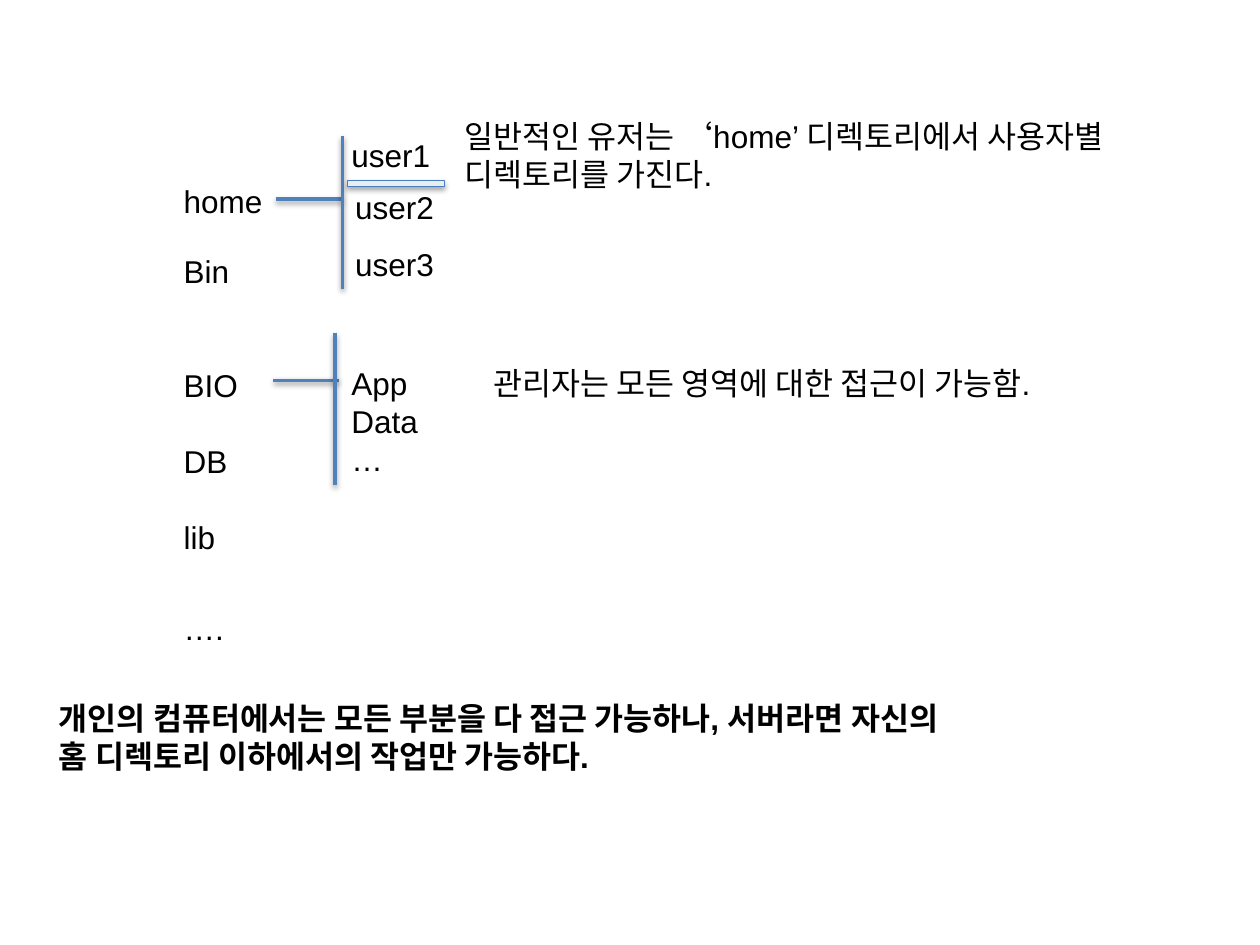
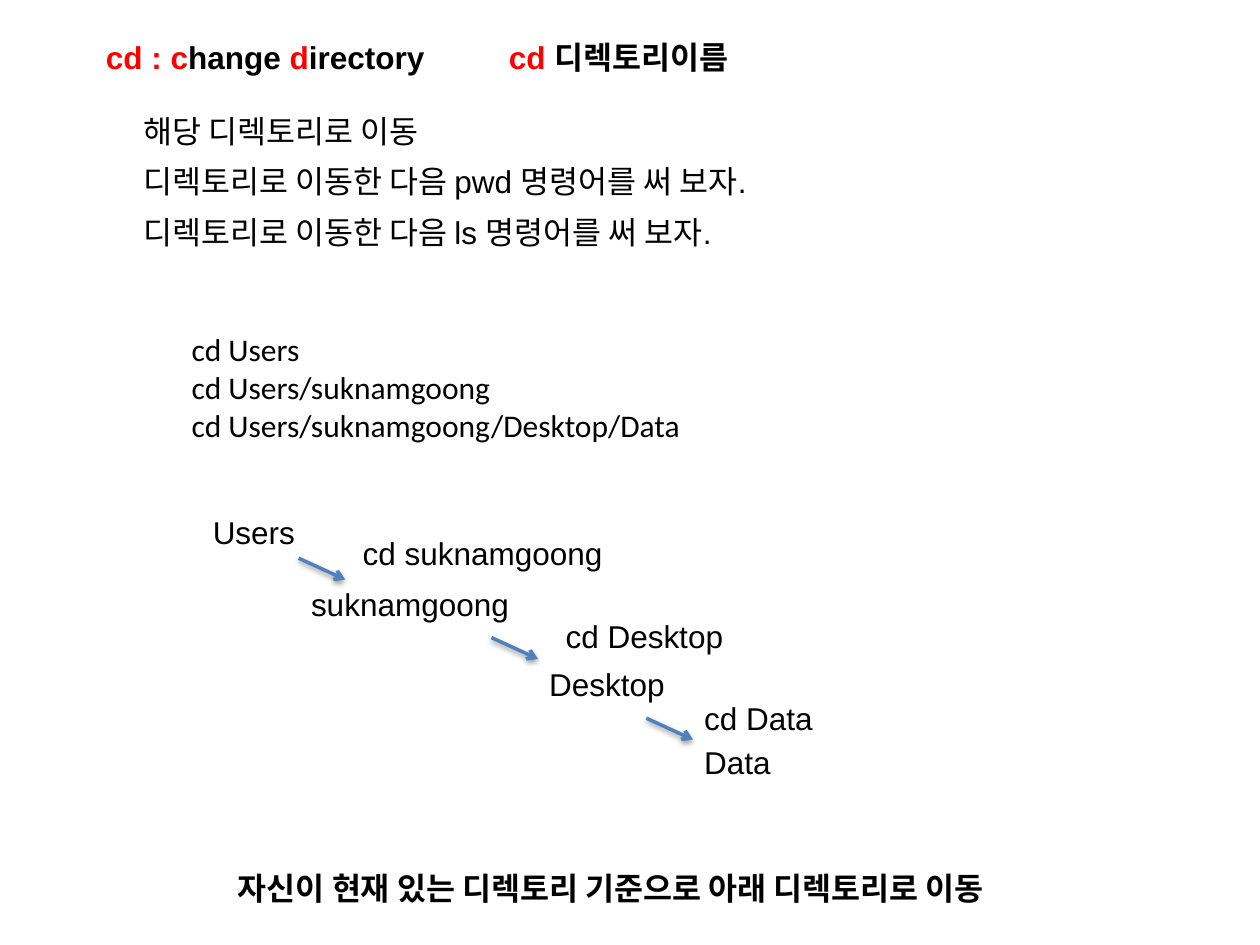
from lxml import etree
from pptx import Presentation
from pptx.dml.color import RGBColor
from pptx.enum.shapes import MSO_CONNECTOR, MSO_SHAPE
from pptx.enum.text import MSO_ANCHOR, MSO_AUTO_SIZE, PP_ALIGN
from pptx.oxml.ns import qn
from pptx.util import Inches, Pt

STRAIGHT = MSO_CONNECTOR.STRAIGHT
RECTANGLE = MSO_SHAPE.RECTANGLE
TOP = MSO_ANCHOR.TOP
LEFT = PP_ALIGN.LEFT
FIT_SHAPE = MSO_AUTO_SIZE.SHAPE_TO_FIT_TEXT

COLUMNS, ROWS = 100, 75
LINE_HEIGHT = 4
LEADING = 21.7
BLACK, RED = "000000", "FF0000"
BLUE, BAR_EDGE, BAR_FILL = "4F81BD", "4B7EBC", "E8EEF0"
LATIN, BODY = "Arial", "Calibri"
BLANK_LAYOUT, CONTENT_LAYOUT = 6, 1


def grid(*cells):
    """Turn grid cells of a tenth of an inch into lengths."""
    return [Inches(round(cell / 10, 3)) for cell in cells]


def color(value):
    """Turn a hex string into a colour."""
    return RGBColor.from_string(value)


def apply(target, values):
    """Set every attribute named in a dict of format values."""
    for name, value in values.items():
        setattr(target, name, value)


def add_shadow(shape, opacity, distance):
    """Give a shape a soft shadow that falls straight down."""
    properties = shape._element.spPr
    effects = properties.find(qn("a:effectLst"))
    if effects is None:
        effects = etree.SubElement(properties, qn("a:effectLst"))
    shadow = etree.SubElement(effects, qn("a:outerShdw"), blurRad="40000",
                              dist=str(Pt(distance)), dir="5400000", rotWithShape="0")
    black = etree.SubElement(shadow, qn("a:srgbClr"), val=BLACK)
    etree.SubElement(black, qn("a:alpha"), val=str(opacity * 1000))


def write(shape, lines, font=LATIN, bold=False, wrap=False, leading=LEADING, gaps=()):
    """Fill a shape with lines, each a string or a list of (text, colour) runs."""
    frame = shape.text_frame
    apply(frame, {"word_wrap": wrap, "auto_size": FIT_SHAPE, "vertical_anchor": TOP})
    for index, line in enumerate(lines):
        paragraph = frame.paragraphs[0] if index == 0 else frame.add_paragraph()
        gap = gaps[index] if gaps else 0
        apply(paragraph, {"alignment": LEFT, "space_before": Pt(gap * LEADING),
                          "line_spacing": Pt(leading) if leading else None})
        for text, run_color in [(line, BLACK)] if isinstance(line, str) else line:
            run = paragraph.add_run()
            run.text = text
            apply(run.font, {"name": font, "size": Pt(18), "bold": bold})
            run.font.color.rgb = color(run_color)


def add_text(slide, left, top, width, lines, height=LINE_HEIGHT, **style):
    """Add a text box at a grid position."""
    write(slide.shapes.add_textbox(*grid(left, top, width, height)), lines, **style)


def fill_placeholder(placeholder, box, lines, **style):
    """Move a template placeholder, fill it and drop its bullets."""
    apply(placeholder, dict(zip(("left", "top", "width", "height"), grid(*box))))
    write(placeholder, lines, **style)
    for paragraph in placeholder.text_frame.paragraphs:
        properties = paragraph._p.get_or_add_pPr()
        properties.set("marL", "0")
        properties.set("indent", "0")
        etree.SubElement(properties, qn("a:buNone"))


def add_line(slide, start, end, arrow=False):
    """Add a blue line, with an arrowhead at its end on request."""
    connector = slide.shapes.add_connector(STRAIGHT, *grid(*start, *end))
    connector.line.color.rgb = color(BLUE)
    connector.line.width = Pt(2)
    if arrow:
        etree.SubElement(connector.line._get_or_add_ln(), qn("a:tailEnd"), type="arrow")
    add_shadow(connector, 38, 1.6)


def add_branch(slide, start, trunk, row, top, bottom, overlap=0):
    """Join a directory to the trunk that spans its contents."""
    add_line(slide, (start, row), (trunk + overlap, row))
    add_line(slide, (trunk, top), (trunk, bottom))


def add_divider(slide, left, top, width, height):
    """Add the thin bar under a user directory."""
    bar = slide.shapes.add_shape(RECTANGLE, *grid(left, top, width, height))
    bar.shadow.inherit = False
    bar.fill.solid()
    bar.fill.fore_color.rgb = color(BAR_FILL)
    bar.line.color.rgb = color(BAR_EDGE)
    bar.line.width = Pt(0.75)
    add_shadow(bar, 35, 1.8)


def build_tree_slide(presentation):
    """Show the directory tree and who may reach which part."""
    slide = presentation.slides.add_slide(presentation.slide_layouts[BLANK_LAYOUT])
    root = 13.6
    add_text(slide, root, 13.9, 8.3, ["home"])
    add_text(slide, root, 19.5, 6.4, ["Bin", "BIO", "DB", "lib"], 28.3, gaps=(0, 2, 1, 1))
    add_text(slide, root, 47.8, 6.9, ["…."], wrap=True)
    for left, top, user in ((26.9, 10.3, "user1"), (27.2, 14.4, "user2"), (27.2, 18.9, "user3")):
        add_text(slide, left, top, 8.3, [user])
    add_text(slide, 26.9, 28.4, 7.5, ["App", "Data", "…"], 10.1)
    add_branch(slide, 21.9, 27.2, 15.8, 10.8, 22.9)
    add_branch(slide, 21.7, 26.6, 30.2, 26.4, 38.5, overlap=0.3)
    add_divider(slide, 27.6, 14.3, 7.7, 0.5)
    add_text(slide, 38.2, 28.4, 49.8, ["관리자는 모든 영역에 대한 접근이 가능함."], leading=None)
    add_text(slide, 35.9, 8.8, 55.1, ["일반적인 유저는 ‘home’ 디렉토리에서 사용자별",
                                      "디렉토리를 가진다."], 7.1, leading=None)
    add_text(slide, 3.7, 55, 79.7, ["개인의 컴퓨터에서는 모든 부분을 다 접근 가능하나, 서버라면 자신의",
                                    "홈 디렉토리 이하에서의 작업만 가능하다."],
             7.1, bold=True, leading=None)


def build_command_slide(presentation):
    """Explain the cd command and walk down a path step by step."""
    slide = presentation.slides.add_slide(presentation.slide_layouts[CONTENT_LAYOUT])
    title, paths = slide.placeholders
    fill_placeholder(title, (7.4, 2.5, 64, 5.9),
                     [[("cd : c", RED), ("hange", BLACK), (" d", RED), ("irectory", BLACK)]],
                     bold=True, wrap=True)
    add_text(slide, 39.4, 2.5, 64, [[("cd ", RED), ("디렉토리이름", BLACK)]],
             bold=True, wrap=True, leading=None)
    tasks = (("해당 디렉토리로 이동", BODY),
             ("디렉토리로 이동한 다음 pwd 명령어를 써 보자.", LATIN),
             ("디렉토리로 이동한 다음 ls 명령어를 써 보자.", LATIN))
    for index, (task, font) in enumerate(tasks):
        add_text(slide, 10.4, 8.4 + index * LINE_HEIGHT, 64, [task],
                 font=font, wrap=True, leading=None)
    fill_placeholder(paths, (14.2, 25.7, 42.8, 10.1),
                     ["cd Users", "cd Users/suknamgoong", "cd Users/suknamgoong/Desktop/Data"],
                     font=BODY)
    labels = ((15.9, 40.2, "Users"), (23.7, 45.9, "suknamgoong"),
              (42.6, 52.3, "Desktop"), (54.9, 58.5, "Data"),
              (27.8, 41.9, "cd suknamgoong"), (43.9, 48.5, "cd Desktop"),
              (54.9, 55, "cd Data"))
    for left, top, label in labels:
        add_text(slide, left, top, 26.5, [label], wrap=True)
    for column, row in ((23.7, 44.3), (39, 50.6), (51.3, 57)):
        add_line(slide, (column, row), (column + 3.7, row + 1.7), arrow=True)
    add_text(slide, 17.9, 68.5, 66.7, ["자신이 현재 있는 디렉토리 기준으로 아래 디렉토리로 이동"],
             font=BODY, bold=True, leading=None)


def main():
    """Build both slides and save them."""
    presentation = Presentation()
    presentation.slide_width, presentation.slide_height = grid(COLUMNS, ROWS)
    build_tree_slide(presentation)
    build_command_slide(presentation)
    presentation.save("out.pptx")


if __name__ == "__main__":
    main()
